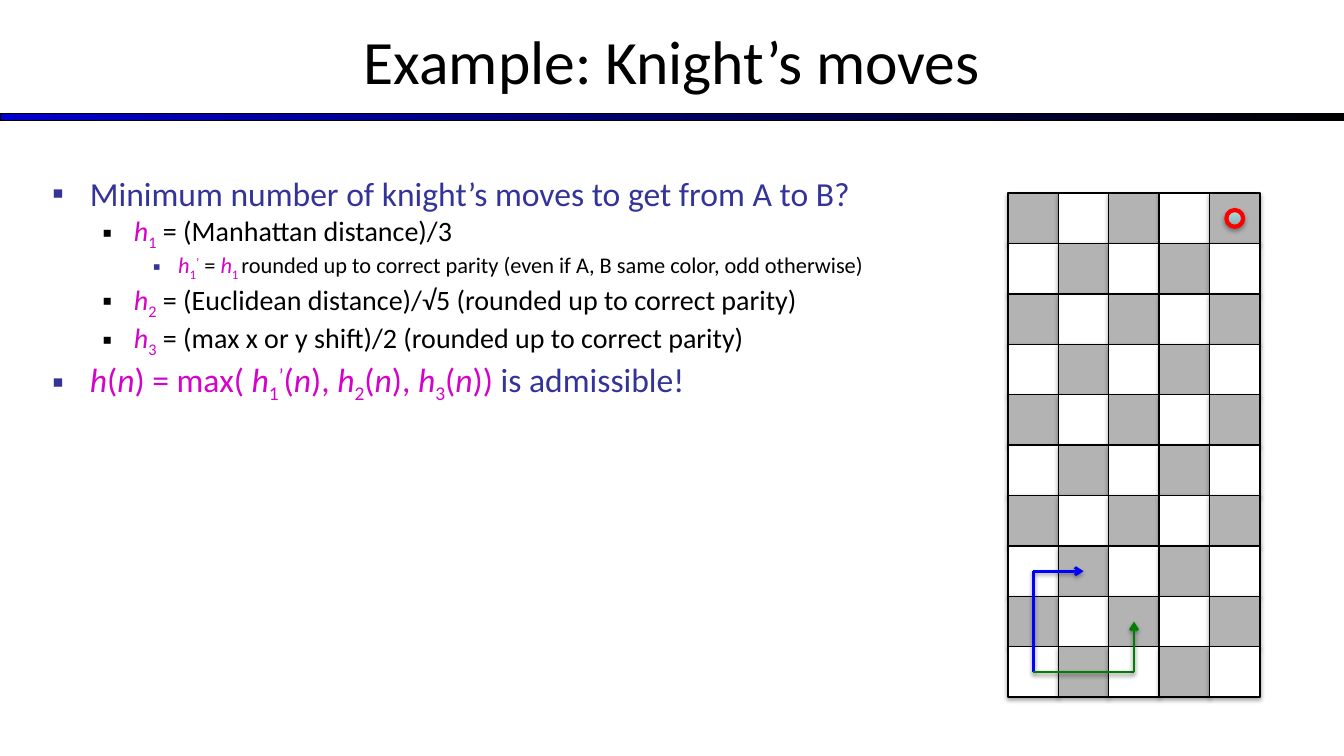
from dataclasses import dataclass

from lxml.etree import SubElement as Sub
from pptx import Presentation
from pptx.dml.color import RGBColor as RGB
from pptx.enum.shapes import MSO_CONNECTOR as Conn, MSO_SHAPE as Kind
from pptx.enum.text import MSO_ANCHOR as Anchor, MSO_AUTO_SIZE as Fit, PP_ALIGN as Align
from pptx.oxml.ns import qn
from pptx.util import Pt

PX = 9525  # EMU in one px, 96 px to the inch


@dataclass(frozen=True)
class Theme:
    font: str = "Calibri"
    black: str = "000000"
    white: str = "FFFFFF"
    gray: str = "B3B3B3"
    navy: str = "333399"
    pink: str = "D303CA"
    red: str = "FF0000"
    blue: str = "0000FF"
    green: str = "008000"
    band: tuple = ("0000CC", "000000")
    goal: tuple = ("87ABAE", "AFE0E4")
    title: int = 44
    sizes: tuple = (24, 20, 16)


T = Theme()
WIDE, HIGH = 1280, 720
CELL, LEFT, TOP = 48, 960, 184
ROWS, COLS = 10, 5

# Left margin, hanging indent and colour of each list level
LEVELS = [(36, 36, T.navy), (78, 30, T.black), (120, 24, T.black)]

# Marks of a run: m pink, i pink italic, s pink subscript, p pink superscript
LINES = [
    (0, [("Minimum number of knight’s moves to get from A to B?", "")]),
    (1, [("h", "i"), ("1", "s"), (" = (Manhattan distance)/3", "")]),
    (2, [("h", "i"), ("1", "s"), ("’", "p"), (" = ", ""), ("h", "i"), ("1 ", "s"),
         ("rounded up to correct parity (even if A, B same color, odd otherwise)", "")]),
    (1, [("h", "i"), ("2", "s"),
         (" = (Euclidean distance)/√5 (rounded up to correct parity)", "")]),
    (1, [("h", "i"), ("3", "s"),
         (" = (max x or y shift)/2 (rounded up to correct parity)", "")]),
    (0, [("h", "i"), ("(", "m"), ("n", "i"), (") = max( ", "m"),
         ("h", "i"), ("1", "s"), ("’", "p"), ("(", "m"), ("n", "i"), ("), ", "m"),
         ("h", "i"), ("2", "s"), ("(", "m"), ("n", "i"), ("), ", "m"),
         ("h", "i"), ("3", "s"), ("(", "m"), ("n", "i"), (")) ", "m"),
         ("is admissible!", "")]),
]
SHIFTS = {"s": -25000, "p": 30000}


def write(par, text, size, color, slant=False, shift=0):
    run = par.add_run()
    run.text = text
    font = run.font
    font.name, font.size, font.italic = T.font, Pt(size), slant
    font.color.rgb = RGB.from_string(color)
    if shift:
        font._element.set("baseline", str(shift))


def place(item, x, y, w, h):
    item.left, item.top, item.width, item.height = (n * PX for n in (x, y, w, h))
    frame = item.text_frame
    frame.word_wrap, frame.auto_size = True, Fit.NONE
    return frame


def bullet(par, level):
    margin, hang, color = LEVELS[level]
    par.level = level
    par.space_before = Pt(0)
    props = par._p.get_or_add_pPr()
    props.set("marL", str(margin * PX))
    props.set("indent", str(-hang * PX))
    tint = Sub(props, qn("a:buClr"))
    Sub(tint, qn("a:srgbClr"), val=color)
    Sub(props, qn("a:buChar"), char="▪")


def shade(effect, dist, alpha):
    cast = Sub(effect, qn("a:outerShdw"), blurRad="40000", dist=str(dist),
               dir="5400000", rotWithShape="0")
    tint = Sub(cast, qn("a:srgbClr"), val=T.black)
    Sub(tint, qn("a:alpha"), val=str(alpha))


def shape(shapes, kind, x, y, w, h, fill, line, width, angle=0, shadow=True):
    item = shapes.add_shape(kind, x * PX, y * PX, w * PX, h * PX)
    if isinstance(fill, tuple):
        item.fill.gradient()
        item.fill.gradient_angle = angle
        for stop, color in zip(item.fill.gradient_stops, fill):
            stop.color.rgb = RGB.from_string(color)
    else:
        item.fill.solid()
        item.fill.fore_color.rgb = RGB.from_string(fill)
    item.line.color.rgb = RGB.from_string(line)
    item.line.width = Pt(width)
    item.shadow.inherit = False
    if shadow:
        shade(item._element.spPr.find(qn("a:effectLst")), 23000, 35000)
    return item


def center(col, row):
    return LEFT + col * CELL + CELL // 2, TOP + row * CELL + CELL // 2


def route(shapes, cells, color):
    """Join cell centers with straight lines, with an arrow at the last."""
    dots = [center(*cell) for cell in cells]
    for start, end in zip(dots, dots[1:]):
        item = shapes.add_connector(Conn.STRAIGHT, *(n * PX for n in start + end))
        item.line.color.rgb = RGB.from_string(color)
        item.line.width = Pt(2)
        if end == dots[-1]:
            Sub(item.line._get_or_add_ln(), qn("a:tailEnd"), type="arrow")
        shade(Sub(item._element.spPr, qn("a:effectLst")), 20000, 38000)


def board(shapes):
    for row in range(ROWS):
        for col in range(COLS):
            fill = T.white if (row + col) % 2 else T.gray
            shape(shapes, Kind.RECTANGLE, LEFT + col * CELL, TOP + row * CELL,
                  CELL, CELL, fill, T.black, 1)
    # Goal ring
    x, y = center(COLS - 1, 0)
    shape(shapes, Kind.OVAL, x - 8, y - 8, 16, 16, T.goal, T.red, 3, angle=90)
    # Two knight's moves from the lower left cell
    route(shapes, [(0, 9), (0, 7), (1, 7)], T.blue)
    route(shapes, [(0, 9), (2, 9), (2, 8)], T.green)


def main():
    deck = Presentation()
    deck.slide_width, deck.slide_height = WIDE * PX, HIGH * PX
    slide = deck.slides.add_slide(deck.slide_layouts[1])
    shapes = slide.shapes

    # Band, behind the title
    band = shape(shapes, Kind.RECTANGLE, 0, 108, WIDE, 7, T.band, T.black, 0.75,
                 shadow=False)
    shapes._spTree.insert(2, band._element)

    # Title
    frame = place(shapes.title, 0, -3, WIDE, 120)
    frame.vertical_anchor = Anchor.MIDDLE
    par = frame.paragraphs[0]
    par.alignment = Align.CENTER
    write(par, "Example: Knight’s moves", T.title, T.black)

    # List
    frame = place(slide.placeholders[1], 40, 160, 862, 520)
    for num, (level, runs) in enumerate(LINES):
        par = frame.add_paragraph() if num else frame.paragraphs[0]
        bullet(par, level)
        for text, mark in runs:
            color = T.pink if mark else LEVELS[level][2]
            write(par, text, T.sizes[level], color, slant=mark == "i",
                  shift=SHIFTS.get(mark, 0))
        if level == 2:
            par._p.pPr.find(qn("a:buClr"))[0].set("val", T.navy)

    # Chess board
    board(shapes.add_group_shape().shapes)
    deck.save("out.pptx")


if __name__ == "__main__":
    main()
